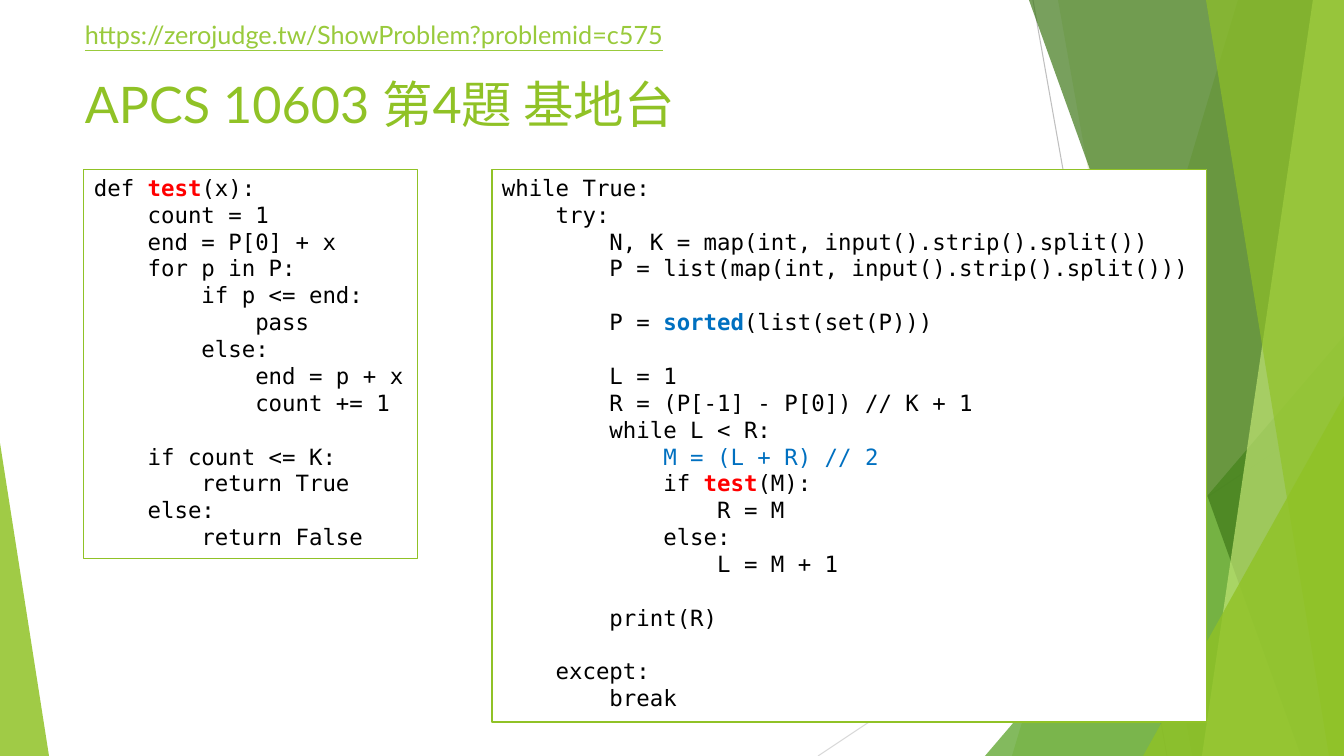
from lxml import etree
from pptx import Presentation, util as u
from pptx.dml.color import RGBColor
from pptx.enum import shapes, text
from pptx.oxml.ns import qn

W, H = 1344, 756
SCALE = 12192000 / W
COLORS = {
    "lime": "90C226", "green": "54A021", "forest": "3F7819", "pale": "C0E474",
    "link": "99CA3C", "gray": "BFBFBF", "silver": "D9D9D9",
    "black": "000000", "red": "FF0000", "blue": "0070C0", "white": "FFFFFF",
}
RAYS = [((1033, 0), (1167, H), "gray"), ((W, 406), (818, H), "silver")]
FACETS = [
    ("band", (1238, 1012), "lime", 30),
    ("band", (1058, 1192), "lime", 20),
    ("triangle", (985, 336, 359, 420, 1), "green", 72),
    ("band", (1029, 1301), "forest", 70),
    ("band", (1313, 1202), "pale", 70),
    ("band", (1206, 1329), "lime", 65),
    ("triangle", (1143, 396, 201, 360, 1), "lime", 80),
    ("triangle", (0, 443, 49, 313, 0), "lime", 85),
]
TITLE = "APCS 10603 第4題 基地台"
LINK = "https://zerojudge.tw/ShowProblem?problemid=c575"
TEST_CODE = """def test(x):
    count = 1
    end = P[0] + x
    for p in P:
        if p <= end:
            pass
        else:
            end = p + x
            count += 1
            
    if count <= K:
        return True
    else:
        return False"""
MAIN_CODE = """while True:
    try:
        N, K = map(int, input().strip().split())
        P = list(map(int, input().strip().split()))
        
        P = sorted(list(set(P)))
        
        L = 1
        R = (P[-1] - P[0]) // K + 1
        while L < R:
            M = (L + R) // 2
            if test(M):
                R = M
            else:
                L = M + 1
            
        print(R)
     
    except:
        break"""
HIGHLIGHTS = {"test": ("red", True), "sorted": ("blue", True), "M = (L + R) // 2": ("blue", False)}


def px(n):
    return u.Emu(round(n * SCALE))


def rgb(name):
    return RGBColor.from_string(COLORS[name])


def add_ray(s, start, end, color):
    c = s.shapes.add_connector(shapes.MSO_CONNECTOR.STRAIGHT, *map(px, start + end))
    c.line.color.rgb = rgb(color)
    c.line.width = u.Pt(0.75)
    etree.SubElement(c._element.spPr, qn("a:effectLst"))


def add_facet(s, kind, geometry, color, opacity):
    if kind == "band":
        top, bottom = geometry
        fb = s.shapes.build_freeform(top, 0, scale=SCALE)
        fb.add_line_segments([(W, 0), (W, H), (bottom, H)], close=True)
        sp = fb.convert_to_shape()
    else:
        *box, apex = geometry
        sp = s.shapes.add_shape(shapes.MSO_SHAPE.ISOSCELES_TRIANGLE, *map(px, box))
        sp.adjustments[0] = apex
    sp.shadow.inherit = False
    sp.line.fill.background()
    sp.fill.solid()
    sp.fill.fore_color.rgb = rgb(color)
    clr = sp._element.spPr.find(qn("a:solidFill"))[0]
    etree.SubElement(clr, qn("a:alpha"), val=str(opacity * 1000))


def set_font(font, name, size, color):
    font.name, font.size = name, u.Pt(size)
    font.color.rgb = rgb(color)


def add_text(s, box, lines, name, size, color, wrap=False):
    sp = s.shapes.add_textbox(*map(px, box))
    tf = sp.text_frame
    tf.word_wrap = wrap
    tf.auto_size = text.MSO_AUTO_SIZE.NONE if wrap else text.MSO_AUTO_SIZE.SHAPE_TO_FIT_TEXT
    for i, line in enumerate(lines):
        p = tf.add_paragraph() if i else tf.paragraphs[0]
        set_font(p.font, name, size, color)
        token = next((t for t in HIGHLIGHTS if t in line), None)
        for part in line.partition(token) if token else [line]:
            if part:
                r = p.add_run()
                r.text = part
                if part == token:
                    shade, r.font.bold = HIGHLIGHTS[token]
                    r.font.color.rgb = rgb(shade)
    return sp


def add_code(s, box, code, fill=None):
    sp = add_text(s, box, code.split("\n"), "DejaVu Sans Mono", 16, "black")
    sp.line.color.rgb = rgb("lime")
    sp.line.width = u.Pt(0.75)
    if fill:
        sp.fill.solid()
        sp.fill.fore_color.rgb = rgb(fill)


def main():
    prs = Presentation()
    prs.slide_width, prs.slide_height = px(W), px(H)
    s = prs.slides.add_slide(prs.slide_layouts[6])
    for ray in RAYS:
        add_ray(s, *ray)
    for facet in FACETS:
        add_facet(s, *facet)
    add_text(s, (75, 68, 948, 145), [TITLE], "Lato", 36, "lime", wrap=True)
    link = add_text(s, (75, 14, 624, 40), [LINK], "Lato", 18, "link")
    link.text_frame.paragraphs[0].font.underline = True
    add_code(s, (84, 169, 334, 390), TEST_CODE)
    add_code(s, (492, 169, 715, 553), MAIN_CODE, "white")
    prs.save("out.pptx")


if __name__ == "__main__":
    main()
